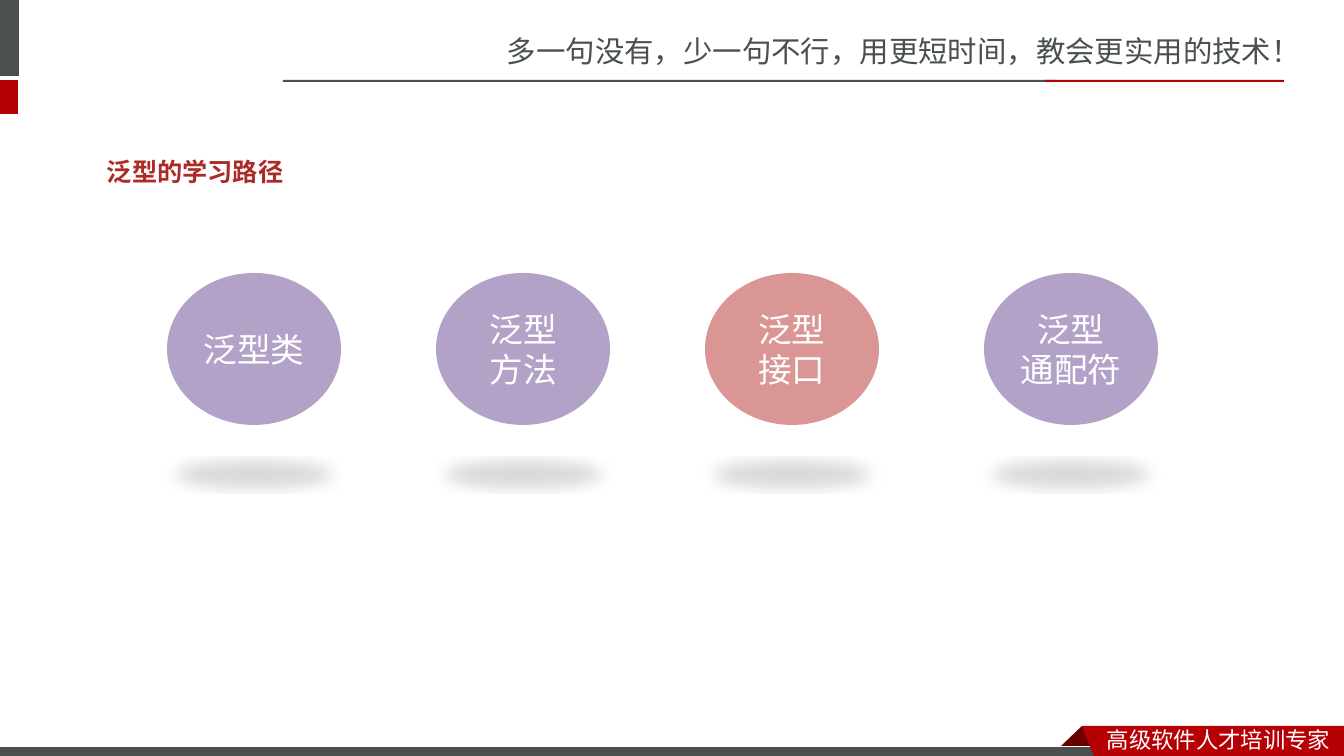
from lxml.etree import SubElement
from pptx import Presentation
from pptx.dml.color import RGBColor
from pptx.enum.shapes import MSO_SHAPE as Shape
from pptx.enum.text import MSO_ANCHOR as Anchor, MSO_AUTO_SIZE as AutoSize, PP_ALIGN as Align
from pptx.oxml.ns import qn
from pptx.util import Pt

EMU_PER_PX = 914400 / 100.8

GREY = RGBColor(0x49, 0x50, 0x4F)
RED = RGBColor(0xB6, 0x00, 0x04)
DARK_RED = RGBColor(0x68, 0x00, 0x00)
TITLE_RED = RGBColor(0xAD, 0x2B, 0x26)
PURPLE = RGBColor(0xB3, 0xA2, 0xC7)
PINK = RGBColor(0xD9, 0x96, 0x94)
WHITE = RGBColor(0xFF, 0xFF, 0xFF)

SANS = "Noto Sans CJK SC"
TOPIC_FONT = "Noto Sans CJK JP"
TITLE_FONT = "Courier New"

TOPIC_TOP, TOPIC_WIDTH, TOPIC_HEIGHT = 273, 174, 152
TOPICS = [
    (167, PURPLE, ["泛型类"]),
    (436, PURPLE, ["泛型", "方法"]),
    (705, PINK, ["泛型", "接口"]),
    (984, PURPLE, ["泛型", "通配符"]),
]


def px(*lengths):
    """Turn pixel lengths into EMU."""
    return [round(length * EMU_PER_PX) for length in lengths]


def paint(shape, color, line_color=None):
    shape.shadow.inherit = False
    shape.fill.solid()
    shape.fill.fore_color.rgb = color
    if line_color is None:
        shape.line.fill.background()
    else:
        shape.line.color.rgb = line_color
        shape.line.width = Pt(0.75)


def add_run(paragraph, text, font_name, size, color, bold=False):
    run = paragraph.add_run()
    run.text = text
    font = run.font
    font.name = font_name
    font.size = Pt(size)
    font.bold = bold
    font.color.rgb = color
    # Chinese characters take their face from the East Asian font
    SubElement(run.font._element, qn("a:ea"), typeface=font_name)


def add_bar(slide, box, color, line_color=None):
    bar = slide.shapes.add_shape(Shape.RECTANGLE, *px(*box))
    paint(bar, color, line_color)


def add_polygon(slide, points, color):
    start, *others = [tuple(px(*point)) for point in points]
    builder = slide.shapes.build_freeform(*start)
    builder.add_line_segments(others, close=True)
    paint(builder.convert_to_shape(), color)


def add_label(slide, box, text, font_name, size, color, bold=False, line_spacing=None):
    frame = slide.shapes.add_textbox(*px(*box)).text_frame
    frame.word_wrap = True
    frame.auto_size = AutoSize.SHAPE_TO_FIT_TEXT
    paragraph = frame.paragraphs[0]
    paragraph.line_spacing = line_spacing
    add_run(paragraph, text, font_name, size, color, bold)


def add_floor_shadow(shape):
    """Cast a flattened, blurred shadow below the shape."""
    effects = shape.element.spPr.find(qn("a:effectLst"))
    shadow = SubElement(effects, qn("a:outerShdw"), blurRad="152400", dist="317500",
                        dir="5400000", sx="90000", sy="-19000", rotWithShape="0")
    color = SubElement(shadow, qn("a:srgbClr"), val="000000")
    SubElement(color, qn("a:alpha"), val="15000")


def add_topic(slide, left, color, lines):
    topic = slide.shapes.add_shape(
        Shape.OVAL, *px(left, TOPIC_TOP, TOPIC_WIDTH, TOPIC_HEIGHT))
    paint(topic, color)
    add_floor_shadow(topic)
    frame = topic.text_frame
    frame.word_wrap = True
    frame.vertical_anchor = Anchor.MIDDLE
    for index, line in enumerate(lines):
        paragraph = frame.add_paragraph() if index else frame.paragraphs[0]
        paragraph.alignment = Align.CENTER
        add_run(paragraph, line, TOPIC_FONT, 24, WHITE)


def add_header(slide):
    add_label(slide, (497, 28, 848, 47),
              "多一句没有，少一句不行，用更短时间，教会更实用的技术！", SANS, 21, GREY)
    add_bar(slide, (-6, 0, 25, 76), GREY)
    add_bar(slide, (-6, 80, 24, 34), RED)
    add_bar(slide, (283, 80, 774, 2), GREY)
    add_bar(slide, (1045, 80, 239, 2), RED)


def add_footer(slide):
    add_polygon(slide, [(1082, 726), (1104, 748), (1103, 749), (1060, 749), (1059, 748)],
                DARK_RED)
    add_bar(slide, (-1, 747, 1109, 12), GREY, WHITE)
    add_polygon(slide, [(1082, 726), (1344, 726), (1344, 760), (1095, 759)], RED)
    add_label(slide, (1097, 721, 247, 37), "高级软件人才培训专家", SANS, 16, WHITE)


def main():
    presentation = Presentation()
    presentation.slide_width, presentation.slide_height = px(1344, 756)
    slide = presentation.slides.add_slide(presentation.slide_layouts[6])
    add_header(slide)
    add_footer(slide)
    add_label(slide, (97, 121, 516, 63), "泛型的学习路径", TITLE_FONT, 18, TITLE_RED,
              bold=True, line_spacing=2.0)
    for left, color, lines in TOPICS:
        add_topic(slide, left, color, lines)
    presentation.save("out.pptx")


if __name__ == "__main__":
    main()
